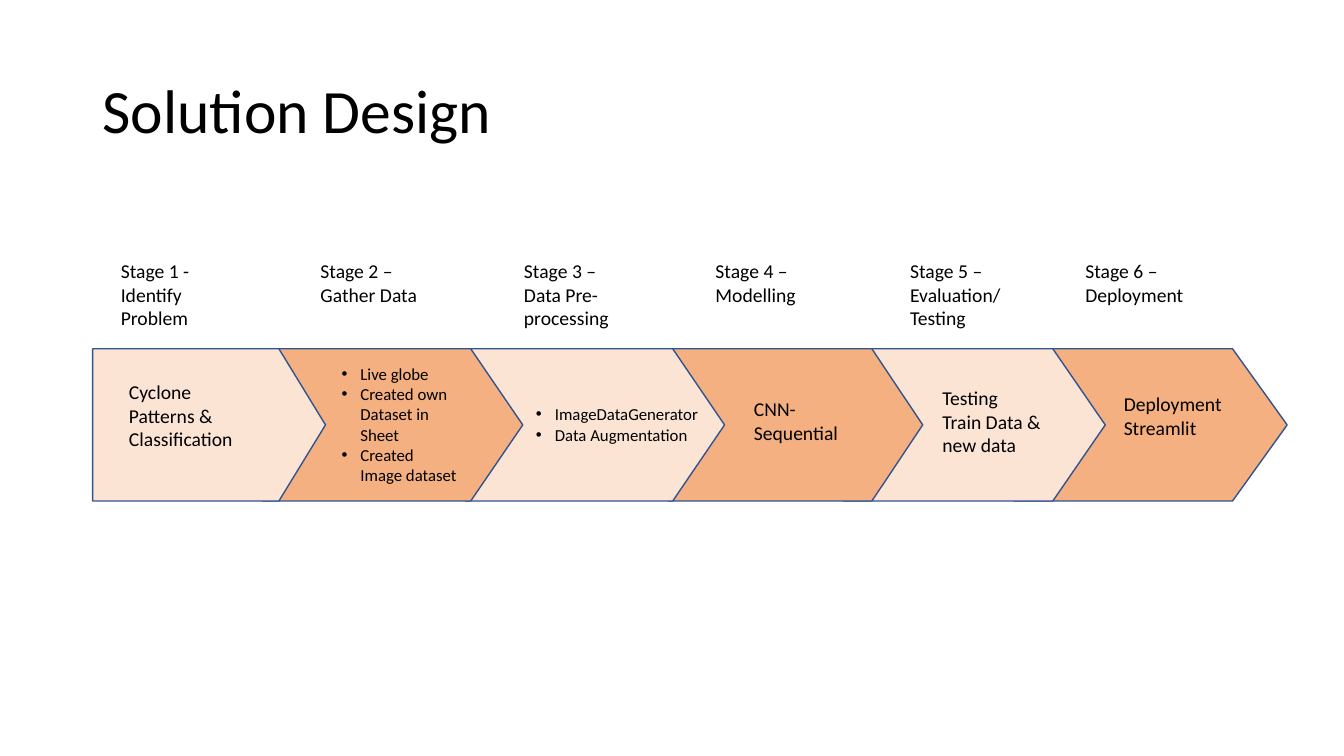
from dataclasses import dataclass

from lxml.etree import SubElement
from pptx import Presentation
from pptx.dml.color import RGBColor
from pptx.enum.shapes import MSO_SHAPE
from pptx.enum.text import MSO_ANCHOR, MSO_AUTO_SIZE
from pptx.oxml.ns import qn
from pptx.slide import Slide
from pptx.text.text import TextFrame, _Paragraph
from pptx.util import Pt


@dataclass(frozen=True)
class Theme:
    font: str = "Calibri"
    text: RGBColor = RGBColor(0x00, 0x00, 0x00)
    outline: RGBColor = RGBColor(0x31, 0x53, 0x8F)
    fills: tuple[RGBColor, RGBColor] = (
        RGBColor(0xFB, 0xE4, 0xD4),
        RGBColor(0xF4, 0xB0, 0x81),
    )
    title_size: float = 44
    body_size: float = 14
    bullet_size: float = 12


@dataclass(frozen=True)
class Box:
    left: float
    top: float
    width: float
    height: float


@dataclass(frozen=True)
class Stage:
    arrow_left: float
    arrow_length: float
    heading_left: float
    heading: tuple[str, ...]
    detail_box: Box
    details: tuple[str, ...]
    bulleted: bool = False


THEME = Theme()
ARROW_CENTRE = 303.5
ARROW_BREADTH = 108.7
HEADING_TOP = 181.4
HEADING_WIDTH = 97.9
LINE_HEIGHT = 16.9
BOX_PADDING = 7.2
BULLET_INDENT = 13.5

STAGES = (
    Stage(66.2, 166.3, 79.2, ("Stage 1 -", "Identify Problem"),
          Box(85, 267.8, 97.9, 58.3), ("Cyclone Patterns & Classification",)),
    Stage(187.6, 185.8, 221.8, ("Stage 2 –", "Gather Data"),
          Box(236.9, 256.3, 97.9, 94.3),
          ("Live globe", "Created own Dataset in Sheet", "Created Image dataset"), True),
    Stage(332.6, 185, 367.2, ("Stage 3 –", "Data Pre-processing"),
          Box(375.8, 285.1, 141.1, 36), ("ImageDataGenerator", "Data Augmentation"), True),
    Stage(477.7, 181.4, 504, ("Stage 4 –", "Modelling"),
          Box(531.4, 280.1, 90, 41), ("CNN-", "Sequential")),
    Stage(602.3, 187.2, 643, ("Stage 5 –", "Evaluation/", "Testing"),
          Box(666, 272.2, 95, 58.3), ("Testing", "Train Data & new data")),
    Stage(724.3, 195.1, 768.2, ("Stage 6 –", "Deployment"),
          Box(795.6, 276.5, 95, 41), ("Deployment", "Streamlit")),
)


def add_bullet(paragraph: _Paragraph) -> None:
    properties = paragraph._p.get_or_add_pPr()
    properties.set("marL", str(Pt(BULLET_INDENT)))
    properties.set("indent", str(-Pt(BULLET_INDENT)))
    SubElement(properties, qn("a:buFont"), typeface="Arial")
    SubElement(properties, qn("a:buChar"), char="•")


def add_text(slide: Slide, box: Box, lines: tuple[str, ...], size: float,
             bulleted: bool = False) -> TextFrame:
    shape = slide.shapes.add_textbox(Pt(box.left), Pt(box.top), Pt(box.width), Pt(box.height))
    frame = shape.text_frame
    frame.word_wrap = True
    frame.auto_size = MSO_AUTO_SIZE.SHAPE_TO_FIT_TEXT
    frame.text = "\n".join(lines)
    for paragraph in frame.paragraphs:
        if bulleted:
            add_bullet(paragraph)
        paragraph.font.name = THEME.font
        paragraph.font.size = Pt(size)
        paragraph.font.color.rgb = THEME.text
    return frame


def add_title(slide: Slide, title: str) -> None:
    frame = add_text(slide, Box(66.2, 28.8, 828, 104.4), (title,), THEME.title_size)
    frame.auto_size = MSO_AUTO_SIZE.NONE
    frame.vertical_anchor = MSO_ANCHOR.MIDDLE
    frame.paragraphs[0].line_spacing = 0.9


def add_arrow(slide: Slide, stage: Stage, fill: RGBColor) -> None:
    """Draw a downward connector shape turned about its centre to point right."""
    centre = stage.arrow_left + stage.arrow_length / 2
    shape = slide.shapes.add_shape(
        MSO_SHAPE.FLOWCHART_OFFPAGE_CONNECTOR,
        Pt(centre - ARROW_BREADTH / 2), Pt(ARROW_CENTRE - stage.arrow_length / 2),
        Pt(ARROW_BREADTH), Pt(stage.arrow_length),
    )
    shape.rotation = 270
    shape.shadow.inherit = False
    shape.fill.solid()
    shape.fill.fore_color.rgb = fill
    shape.line.color.rgb = THEME.outline
    shape.line.width = Pt(1)


def add_stage_text(slide: Slide, stage: Stage) -> None:
    heading_height = len(stage.heading) * LINE_HEIGHT + BOX_PADDING
    heading_box = Box(stage.heading_left, HEADING_TOP, HEADING_WIDTH, heading_height)
    add_text(slide, heading_box, stage.heading, THEME.body_size)
    detail_size = THEME.bullet_size if stage.bulleted else THEME.body_size
    add_text(slide, stage.detail_box, stage.details, detail_size, stage.bulleted)


def main() -> None:
    presentation = Presentation()
    presentation.slide_width = Pt(960)
    presentation.slide_height = Pt(540)
    slide = presentation.slides.add_slide(presentation.slide_layouts[6])

    add_title(slide, "Solution Design")
    # Each arrow tip overlaps the next stage, so the last stage goes to the back.
    for index, stage in reversed(tuple(enumerate(STAGES))):
        add_arrow(slide, stage, THEME.fills[index % 2])
    for stage in STAGES:
        add_stage_text(slide, stage)

    presentation.save("out.pptx")


if __name__ == "__main__":
    main()
